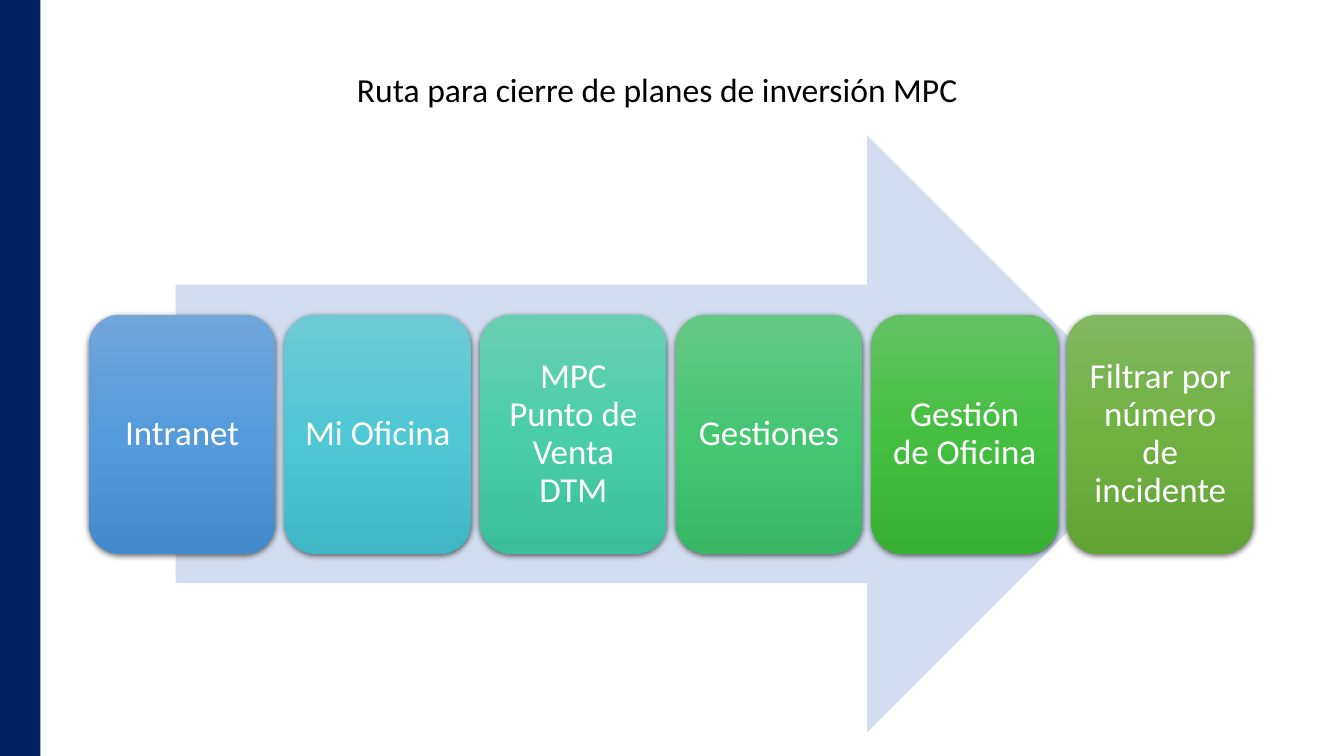
import pptx
import pptx.dml.color
import pptx.enum.shapes
import pptx.enum.text
import pptx.oxml
import pptx.oxml.ns
import pptx.util
from dataclasses import dataclass

Cm = pptx.util.Cm
Pt = pptx.util.Pt
RGBColor = pptx.dml.color.RGBColor
MSO_SHAPE = pptx.enum.shapes.MSO_SHAPE
MSO_ANCHOR = pptx.enum.text.MSO_ANCHOR


@dataclass(frozen=True)
class Theme:
    font: str = "Calibri"
    title_size: int = 24
    step_size: int = 25
    title_color: str = "000000"
    step_color: str = "FFFFFF"
    band: str = "002060"
    arrow: str = "D2DEEF"
    shadow: str = "000000"
    # Top, middle and bottom colour of each step
    gradients: tuple = (
        ("71A6DB", "559BDB", "448ACA"),
        ("6DCAD5", "4FC7D5", "3FB7C4"),
        ("69CFB1", "4ACEAA", "3BBE9A"),
        ("66C885", "45C772", "37B764"),
        ("64C162", "44BF41", "37B034"),
        ("81B861", "6FB242", "62A336"),
    )


theme = Theme()


def write_text(shape, text, *, size, color, anchor=MSO_ANCHOR.TOP, line_spacing=1.0):
    frame = shape.text_frame
    frame.word_wrap = True
    frame.vertical_anchor = anchor
    frame.margin_left = frame.margin_right = Cm(0.25)
    paragraph = frame.paragraphs[0]
    paragraph.alignment = pptx.enum.text.PP_ALIGN.CENTER
    paragraph.line_spacing = line_spacing
    run = paragraph.add_run()
    run.text = text
    run.font.name = theme.font
    run.font.size = Pt(size)
    run.font.color.rgb = RGBColor.from_string(color)


def add_plain_shape(kind, left, top, width, height, color):
    shape = slide.shapes.add_shape(kind, Cm(left), Cm(top), Cm(width), Cm(height))
    shape.shadow.inherit = False
    shape.fill.solid()
    shape.fill.fore_color.rgb = RGBColor.from_string(color)
    shape.line.fill.background()
    return shape


# Slide
presentation = pptx.Presentation()
presentation.slide_width = Cm(33.87)
presentation.slide_height = Cm(19.05)
slide = presentation.slides.add_slide(presentation.slide_layouts[6])

# Title
title = slide.shapes.add_textbox(Cm(0.6), Cm(1.6), Cm(31.93), Cm(1.28))
write_text(title, "Ruta para cierre de planes de inversión MPC",
           size=theme.title_size, color=theme.title_color)

# Background arrow
add_plain_shape(MSO_SHAPE.RIGHT_ARROW, 4.43, 3.41, 24.95, 15.05, theme.arrow)

# Steps along the arrow
steps = ("Intranet", "Mi Oficina", "MPC Punto de Venta DTM", "Gestiones",
         "Gestión de Oficina", "Filtrar por número de incidente")
step_left, step_pitch = 2.24, 4.93
namespace = pptx.oxml.ns.nsdecls("a")

for index, (label, colors) in enumerate(zip(steps, theme.gradients)):
    step = add_plain_shape(MSO_SHAPE.ROUNDED_RECTANGLE, step_left + index * step_pitch,
                           7.93, 4.7, 6.02, colors[1])
    write_text(step, label, size=theme.step_size, color=theme.step_color,
               anchor=MSO_ANCHOR.MIDDLE, line_spacing=0.9)

    # Three-stop vertical gradient in place of the solid fill
    stops = "".join(f'<a:gs pos="{position}"><a:srgbClr val="{color}"/></a:gs>'
                    for position, color in zip((0, 50000, 100000), colors))
    properties = step._element.spPr
    properties.replace(
        properties.find(pptx.oxml.ns.qn("a:solidFill")),
        pptx.oxml.parse_xml(f'<a:gradFill {namespace} rotWithShape="1"><a:gsLst>{stops}</a:gsLst>'
                            '<a:lin ang="5400000" scaled="0"/></a:gradFill>'))

    # Soft shadow below
    properties.find(pptx.oxml.ns.qn("a:effectLst")).append(pptx.oxml.parse_xml(
        f'<a:outerShdw {namespace} blurRad="{Pt(4.5)}" dist="{Pt(1.5)}" dir="5400000" '
        f'algn="ctr" rotWithShape="0"><a:srgbClr val="{theme.shadow}">'
        '<a:alpha val="63000"/></a:srgbClr></a:outerShdw>'))

# Left band
add_plain_shape(MSO_SHAPE.RECTANGLE, 0, 0, 1.02, 19.05, theme.band)

presentation.save("out.pptx")
